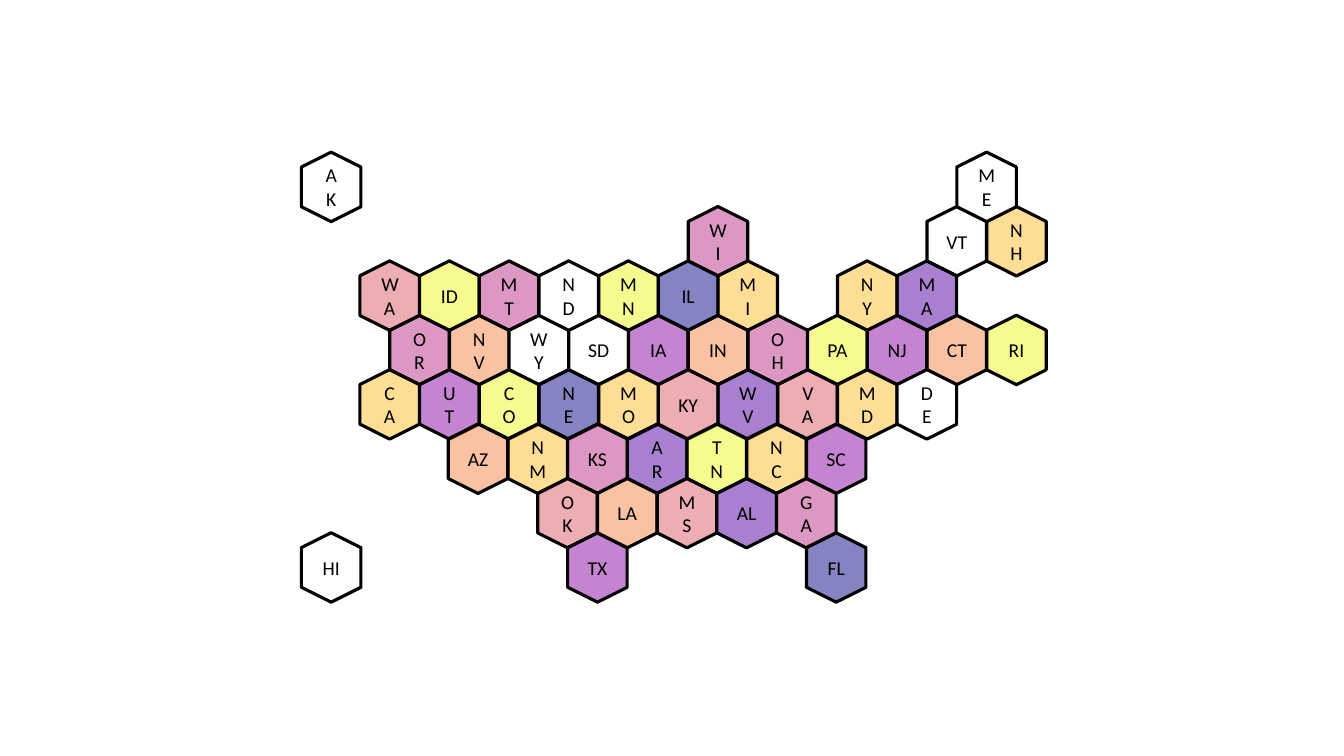
import pptx
import pptx.util
import pptx.dml.color
import pptx.enum.shapes
import pptx.enum.text
import lxml.etree
from pptx.util import Cm

theme = {
    "font": "Calibri",
    "size": pptx.util.Pt(14),
    "border": pptx.util.Pt(2.25),
    "ink": "000000",
    "opacity": 50,
    "fills": {
        "white": "FFFFFF",
        "yellow": "F0F921",
        "amber": "FEBC2C",
        "orange": "F48849",
        "coral": "DB5C68",
        "pink": "BB3289",
        "violet": "8B0AA5",
        "purple": "5402A3",
        "navy": "0D0887",
    },
}

# Hexagon grid: neighbours in a row are two half columns apart
map_top, row_step = 3.96, 1.37
map_width, half_columns = 17.3, 23
half_column = map_width / half_columns
hex_length, hex_width = 1.75, 1.5

# Left edge of the grid for each part of the map
mainland, south, islands = 7.44, 7.41, 7.47

# Each run of states: left edge, row, first half column, states with their fills
state_runs = [
    (mainland, 3, 3, "OR:pink NV:orange WY:white SD:white IA:violet IN:orange "
                     "OH:pink PA:yellow NJ:violet CT:orange RI:yellow"),
    (mainland, 4, 2, "CA:amber UT:violet CO:yellow NE:navy MO:amber KY:coral "
                     "WV:purple VA:coral MD:amber DE:white"),
    (mainland, 1, 13, "WI:pink"),
    (mainland, 2, 2, "WA:coral ID:yellow MT:pink ND:white MN:yellow IL:navy MI:amber"),
    (mainland, 2, 18, "NY:amber"),
    (south, 7, 9, "TX:violet"),
    (south, 7, 17, "FL:navy"),
    (south, 5, 5, "AZ:orange NM:amber KS:pink AR:purple TN:yellow NC:amber SC:violet"),
    (islands, 7, 0, "HI:white"),
    (south, 6, 8, "OK:coral LA:orange MS:coral AL:purple GA:pink"),
    (islands, 0, 0, "AK:white"),
    (mainland, 1, 21, "VT:white NH:amber"),
    (mainland, 2, 20, "MA:purple"),
    (mainland, 0, 22, "ME:white"),
]


def rgb(code):
    return pptx.dml.color.RGBColor.from_string(code)


def add_state(page, left, top, label, fill_name):
    state = page.shapes.add_shape(
        pptx.enum.shapes.MSO_SHAPE.HEXAGON,
        Cm(left), Cm(top), Cm(hex_length), Cm(hex_width))
    state.rotation = 90
    state.shadow.inherit = False
    state.line.color.rgb = rgb(theme["ink"])
    state.line.width = theme["border"]

    # Half-transparent fill, except for white states
    state.fill.solid()
    state.fill.fore_color.rgb = rgb(theme["fills"][fill_name])
    if fill_name != "white":
        colour = state.element.xpath("./p:spPr/a:solidFill/a:srgbClr")[0]
        alpha = lxml.etree.SubElement(colour, pptx.oxml.ns.qn("a:alpha"))
        alpha.set("val", str(theme["opacity"] * 1000))

    # Label turned back upright
    state.element.txBody.bodyPr.set("vert", "vert270")
    state.text_frame.vertical_anchor = pptx.enum.text.MSO_ANCHOR.MIDDLE
    para = state.text_frame.paragraphs[0]
    para.alignment = pptx.enum.text.PP_ALIGN.CENTER
    span = para.add_run()
    span.text = label
    span.font.name = theme["font"]
    span.font.size = theme["size"]
    span.font.color.rgb = rgb(theme["ink"])


deck = pptx.Presentation()
deck.slide_width, deck.slide_height = Cm(33.87), Cm(19.05)
page = deck.slides.add_slide(deck.slide_layouts[6])

# State map
for left_edge, row, first_column, states in state_runs:
    top = map_top + row * row_step
    for index, state in enumerate(states.split()):
        label, fill_name = state.split(":")
        left = left_edge + (first_column + 2 * index) * half_column
        add_state(page, left, top, label, fill_name)

deck.save("out.pptx")
